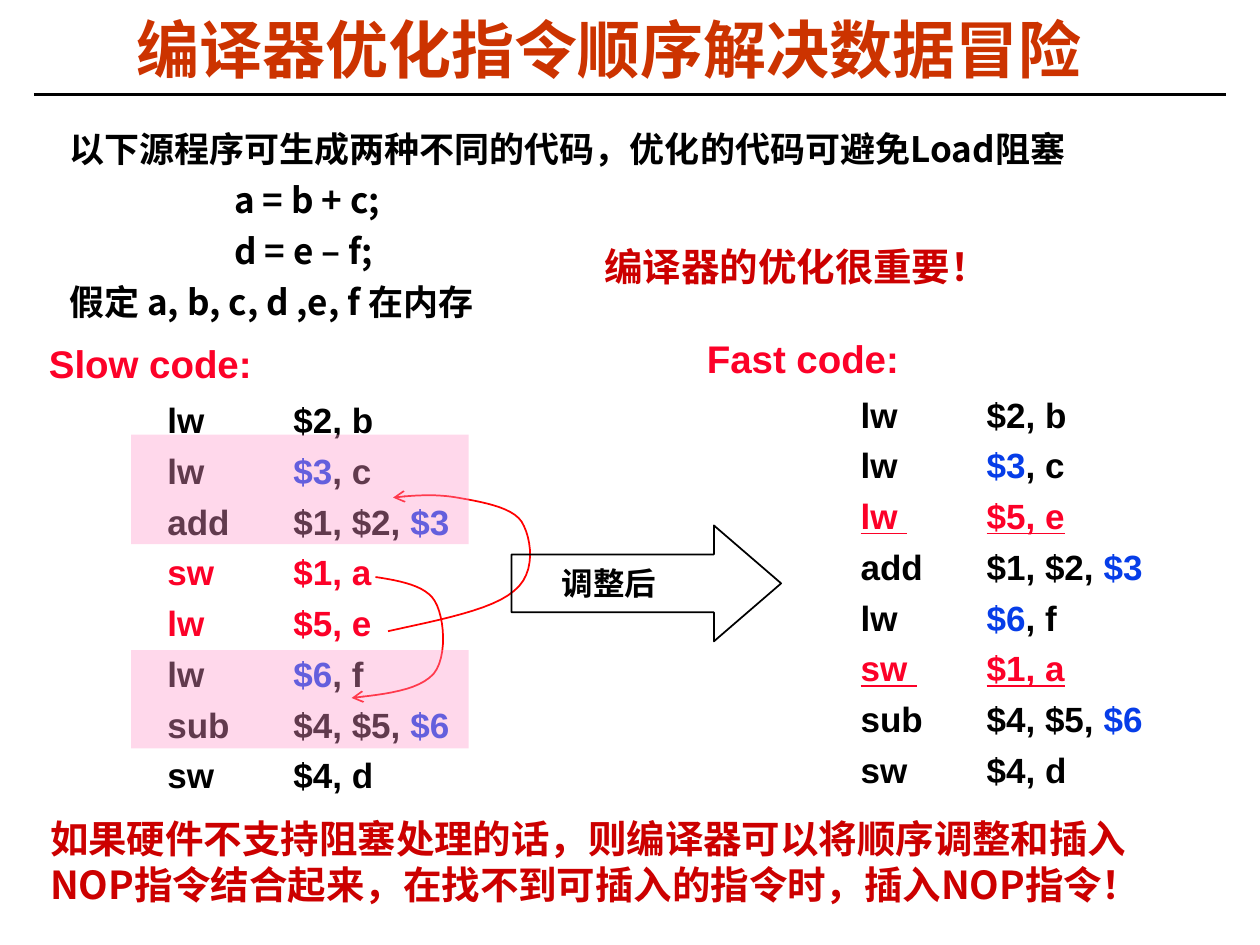
import pptx
import pptx.dml.color
import pptx.enum.shapes
import pptx.enum.text
import pptx.oxml
import pptx.oxml.ns
import pptx.util
from pptx.util import Inches

RGBColor = pptx.dml.color.RGBColor
BLACK = RGBColor(0x00, 0x00, 0x00)
ORANGE = RGBColor(0xCC, 0x33, 0x00)
CRIMSON = RGBColor(0xCC, 0x00, 0x00)
RED = RGBColor(0xFC, 0x01, 0x28)
ARROW_RED = RGBColor(0xFF, 0x00, 0x00)
BLUE = RGBColor(0x06, 0x3D, 0xE8)
PINK = RGBColor(0xFF, 0x99, 0xCC)
CHINESE = "Noto Sans CJK SC"
TAB_WIDTH = Inches(1)

LOAD_B, LOAD_C, ADD = ("lw\t$2, b",), ("lw\t", "$3", ", c"), ("add\t$1, $2, ", "$3")
STORE_A, LOAD_E = ("sw \t$1, a",), ("lw \t$5, e",)
LOAD_F, SUB, STORE_D = ("lw\t", "$6", ", f"), ("sub\t$4, $5, ", "$6"), ("sw\t$4, d",)
MOVED = (STORE_A, LOAD_E)
SLOW_ORDER = (LOAD_B, LOAD_C, ADD, STORE_A, LOAD_E, LOAD_F, SUB, STORE_D)
FAST_ORDER = (LOAD_B, LOAD_C, LOAD_E, ADD, LOAD_F, STORE_A, SUB, STORE_D)

LOAD_E_PATH = [(2.85, 2.36), (3.26, 2.27), (3.68, 2.19), (3.85, 2.04), (4.03, 1.9),
               (3.99, 1.62), (3.91, 1.49), (3.83, 1.37), (3.57, 1.33), (3.4, 1.3),
               (3.23, 1.27), (3.06, 1.28), (2.89, 1.3)]
STORE_A_PATH = [(2.75, 1.93), (2.95, 1.96), (3.15, 2), (3.22, 2.12), (3.3, 2.25),
                (3.32, 2.57), (3.21, 2.7), (3.09, 2.83), (2.83, 2.86), (2.56, 2.89)]


def append_xml(parent, tag, **attributes):
    """Append a DrawingML element and return it."""
    child = pptx.oxml.parse_xml(f"<a:{tag} {pptx.oxml.ns.nsdecls('a')}/>")
    for name, value in attributes.items():
        child.set(name, str(value))
    parent.append(child)
    return child


def apply_format(target, values):
    """Set each attribute of the target from a dict."""
    for name, value in values.items():
        setattr(target, name, value)


def set_default_tabs(presentation):
    """Give the presentation and its master the same tab width."""
    for root in (presentation.element, presentation.slide_master.element):
        for element in root.iter():
            if element.get("defTabSz"):
                element.set("defTabSz", str(TAB_WIDTH))


def add_text_box(slide, box, inset=(0.1, 0.05)):
    """Add an empty wrapping text box and return its text frame."""
    frame = slide.shapes.add_textbox(*map(Inches, box)).text_frame
    across, down = map(Inches, inset)
    apply_format(frame, {"word_wrap": True, "margin_left": across, "margin_right": across,
                         "margin_top": down, "margin_bottom": down})
    return frame


def add_paragraph(frame, runs, size, font="Arial", margin=0, hanging=0, **values):
    """Fill the next paragraph with (text, colour, underline) runs."""
    first = frame.paragraphs[0]
    paragraph = frame.add_paragraph() if first.runs else first
    apply_format(paragraph, values)
    properties = paragraph._p.get_or_add_pPr()
    for name, length in (("marL", Inches(margin)), ("indent", -Inches(hanging)),
                         ("defTabSz", TAB_WIDTH)):
        properties.set(name, str(length))
    for text, colour, underline in runs:
        run = paragraph.add_run()
        run.text = text
        apply_format(run.font, {"name": font, "size": pptx.util.Pt(size),
                                "bold": True, "underline": underline})
        run.font.color.rgb = colour
        append_xml(run._r.get_or_add_rPr(), "ea", typeface=CHINESE)


def add_title(slide, box):
    """Place the heading and the rule beneath it."""
    left, top, width, height = box
    rule = slide.shapes.add_connector(
        pptx.enum.shapes.MSO_CONNECTOR.STRAIGHT,
        *map(Inches, (left - 0.46, top + 0.61, left + width + 0.8, top + 0.61)))
    rule.line.color.rgb = BLACK
    rule.line.width = pptx.util.Pt(1.5)
    append_xml(rule._element.spPr, "effectLst")
    frame = add_text_box(slide, box, (0.07, 0.03))
    frame.vertical_anchor = pptx.enum.text.MSO_ANCHOR.MIDDLE
    add_paragraph(frame, [("编译器优化指令顺序解决数据冒险", ORANGE, False)], 36,
                  alignment=pptx.enum.text.PP_ALIGN.CENTER, line_spacing=0.87)


def add_source_program(slide, box):
    """Place the source statements and their assumption."""
    frame = add_text_box(slide, box)
    for text in ("以下源程序可生成两种不同的代码，优化的代码可避免Load阻塞",
                 "\t\ta = b + c;", "\t\td = e – f;", "假定 a, b, c, d ,e, f 在内存"):
        add_paragraph(frame, [(text, BLACK, False)], 20, CHINESE, 0.31, 0.31,
                      line_spacing=0.9, space_before=pptx.util.Pt(7.5))


def add_remark(slide, box, text, size=22, font="Arial", colour=CRIMSON):
    """Place a one-paragraph remark."""
    add_paragraph(add_text_box(slide, box), [(text, colour, False)], size, font,
                  space_before=pptx.util.Pt(12))


def add_code_rows(frame, order, lead, hanging, underline):
    """List instructions with moved ones red and hazard registers blue."""
    for row, instruction in enumerate(order):
        moved = instruction in MOVED
        base = RED if moved else BLACK
        runs = [(lead, base, False)]
        runs += [(part, BLUE if index == 1 else base, moved and underline)
                 for index, part in enumerate(instruction)]
        add_paragraph(frame, runs, 20, margin=hanging, hanging=hanging,
                      space_before=pptx.util.Pt(5 if row else 7))


def curve_points(path, steps=12):
    """Return points along joined cubic curves."""
    points = [path[0]]
    for start in range(0, len(path) - 1, 3):
        corners = path[start:start + 4]
        for step in range(1, steps + 1):
            t = step / steps
            weights = ((1 - t) ** 3, 3 * t * (1 - t) ** 2, 3 * t ** 2 * (1 - t), t ** 3)
            points.append(tuple(sum(weight * corner[axis] for weight, corner
                                    in zip(weights, corners)) for axis in (0, 1)))
    return points


def add_curved_arrow(slide, left, top, path):
    """Draw an open curved arrow from a path relative to left and top."""
    points = [(Inches(left + x), Inches(top + y)) for x, y in curve_points(path)]
    builder = slide.shapes.build_freeform(*points[0])
    builder.add_line_segments(points[1:], close=False)
    shape = builder.convert_to_shape()
    shape.shadow.inherit = False
    shape.fill.background()
    shape.line.color.rgb = ARROW_RED
    shape.line.width = pptx.util.Pt(1)
    append_xml(shape.line._get_or_add_ln(), "tailEnd", type="arrow")


def add_slow_code(slide, box):
    """Place the slow listing with its move arrows."""
    left, top = box[:2]
    for path in (LOAD_E_PATH, STORE_A_PATH):
        add_curved_arrow(slide, left, top, path)
    frame = add_text_box(slide, box)
    add_paragraph(frame, [("Slow code:", RED, False)], 22, margin=0.06)
    add_code_rows(frame, SLOW_ORDER, "\t", 0, False)


def add_hazard_bands(slide, box):
    """Tint the two hazard pairs of the slow listing."""
    left, top = box[:2]
    for offset, height in ((0.8, 0.87), (2.51, 0.78)):
        band = slide.shapes.add_shape(
            pptx.enum.shapes.MSO_SHAPE.RECTANGLE,
            *map(Inches, (left + 0.81, top + offset, 2.68, height)))
        band.shadow.inherit = False
        band.fill.solid()
        band.fill.fore_color.rgb = PINK
        band.line.fill.background()
        colour = band._element.spPr.find(".//" + pptx.oxml.ns.qn("a:srgbClr"))
        append_xml(colour, "alpha", val=38000)


def add_fast_code(slide, box):
    """Place the reordered listing."""
    frame = add_text_box(slide, box, (0.07, 0.03))
    add_paragraph(frame, [("Fast code:", RED, False)], 22, margin=0.22, hanging=0.22,
                  line_spacing=0.8, space_before=pptx.util.Pt(9.6))
    add_code_rows(frame, FAST_ORDER, "\t\t", 0.22, True)


def add_reorder_arrow(slide, box):
    """Place the labelled block arrow between the listings."""
    arrow = slide.shapes.add_shape(pptx.enum.shapes.MSO_SHAPE.RIGHT_ARROW, *map(Inches, box))
    arrow.shadow.inherit = False
    arrow.adjustments[1] = 0.58
    arrow.fill.background()
    arrow.line.color.rgb = BLACK
    arrow.line.width = pptx.util.Pt(1)
    add_remark(slide, (box[0] + 0.3, box[1] + 0.26, 1.11, 0.4), "调整后", 18,
               "Times New Roman", BLACK)


def main():
    """Build and save the slide."""
    presentation = pptx.Presentation()
    apply_format(presentation, {"slide_width": Inches(10), "slide_height": Inches(7.5)})
    set_default_tabs(presentation)
    slide = presentation.slides.add_slide(presentation.slide_layouts[6])
    slow_box = (0.23, 2.65, 4.49, 3.72)
    add_source_program(slide, (0.45, 1, 8.73, 1.64))
    add_title(slide, (0.73, 0.14, 8.2, 0.58))
    add_fast_code(slide, (5.54, 2.7, 3.92, 3.64))
    add_slow_code(slide, slow_box)
    add_reorder_arrow(slide, (4.06, 4.17, 2.14, 0.92))
    add_remark(slide, (4.7, 1.88, 4.03, 0.47), "编译器的优化很重要！")
    add_hazard_bands(slide, slow_box)
    add_remark(slide, (0.3, 6.42, 9.14, 0.84),
               "如果硬件不支持阻塞处理的话，则编译器可以将顺序调整和插入NOP指令结合起来，"
               "在找不到可插入的指令时，插入NOP指令！", font=CHINESE)
    presentation.save("out.pptx")


if __name__ == "__main__":
    main()
